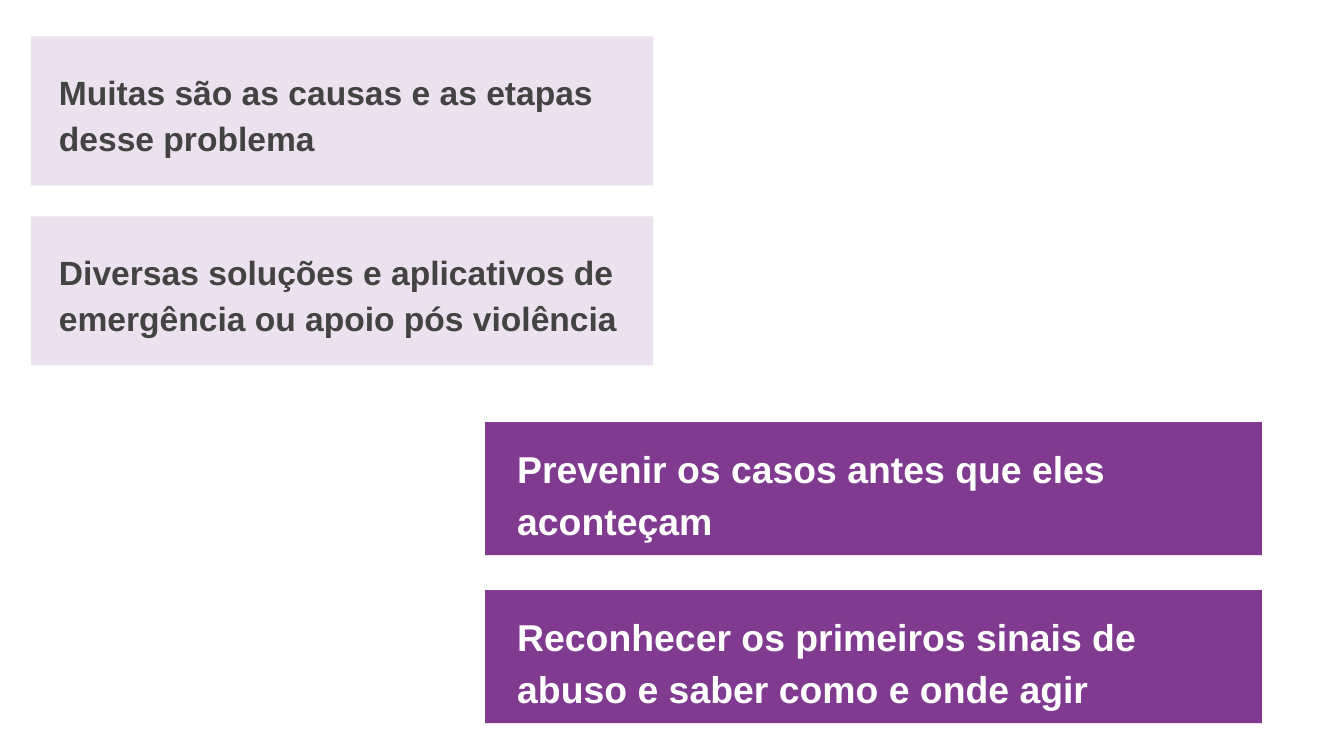
from lxml.etree import SubElement
from pptx import Presentation
from pptx.dml.color import RGBColor
from pptx.enum.shapes import MSO_SHAPE
from pptx.enum.text import MSO_ANCHOR
from pptx.oxml.ns import qn
from pptx.util import Inches, Pt

THEME = {
    "font": "Arial",
    "purple": RGBColor(0x80, 0x3A, 0x90),
    "line_spacing": 1.15,
    "problem": {"color": RGBColor(0x43, 0x43, 0x43), "size": 18, "alpha": 15},
    "goal": {"color": RGBColor(0xFF, 0xFF, 0xFF), "size": 20, "alpha": 100},
}

# Each group: style, first panel (left, top, width, height), vertical step,
# text anchor, and the wording with its text box.
GROUPS = [
    ("problem", (0.23, 0.27, 4.63, 1.11), 1.34, MSO_ANCHOR.TOP, [
        ("Muitas são as causas e as etapas desse problema",
         (0.34, 0.39, 4.71, 0.94)),
        ("Diversas soluções e aplicativos de emergência ou apoio pós violência",
         (0.34, 1.73, 4.71, 0.94)),
    ]),
    ("goal", (3.61, 3.14, 5.78, 0.99), 1.25, MSO_ANCHOR.MIDDLE, [
        ("Prevenir os casos antes que eles aconteçam",
         (3.75, 2.92, 5.84, 1.47)),
        ("Reconhecer os primeiros sinais de abuso e saber como e onde agir",
         (3.75, 4.29, 5.25, 1.23)),
    ]),
]


def add_panel(slide, box, alpha):
    """Add a borderless purple rectangle; alpha is its opacity in percent."""
    sp = slide.shapes.add_shape(MSO_SHAPE.RECTANGLE, *map(Inches, box))
    sp.shadow.inherit = False
    sp.line.fill.background()
    sp.fill.solid()
    sp.fill.fore_color.rgb = THEME["purple"]
    if alpha < 100:
        color = sp._element.spPr.find(qn("a:solidFill"))[0]
        SubElement(color, qn("a:alpha"), val=str(alpha * 1000))


def add_statement(slide, text, box, style, anchor):
    tf = slide.shapes.add_textbox(*map(Inches, box)).text_frame
    tf.word_wrap = True
    tf.vertical_anchor = anchor
    tf.margin_left = tf.margin_right = Inches(0.1)
    tf.margin_top = tf.margin_bottom = Inches(0.1)
    tf.text = text
    p = tf.paragraphs[0]
    p.line_spacing = THEME["line_spacing"]
    font = p.runs[0].font
    font.name = THEME["font"]
    font.size = Pt(style["size"])
    font.bold = True
    font.color.rgb = style["color"]


def main():
    prs = Presentation()
    prs.slide_width = Inches(10)
    prs.slide_height = prs.slide_width * 9 // 16
    slide = prs.slides.add_slide(prs.slide_layouts[6])
    for name, (left, top, width, height), step, anchor, statements in GROUPS:
        style = THEME[name]
        for i, (text, text_box) in enumerate(statements):
            add_panel(slide, (left, top + i * step, width, height), style["alpha"])
            add_statement(slide, text, text_box, style, anchor)
    prs.save("out.pptx")


if __name__ == "__main__":
    main()
